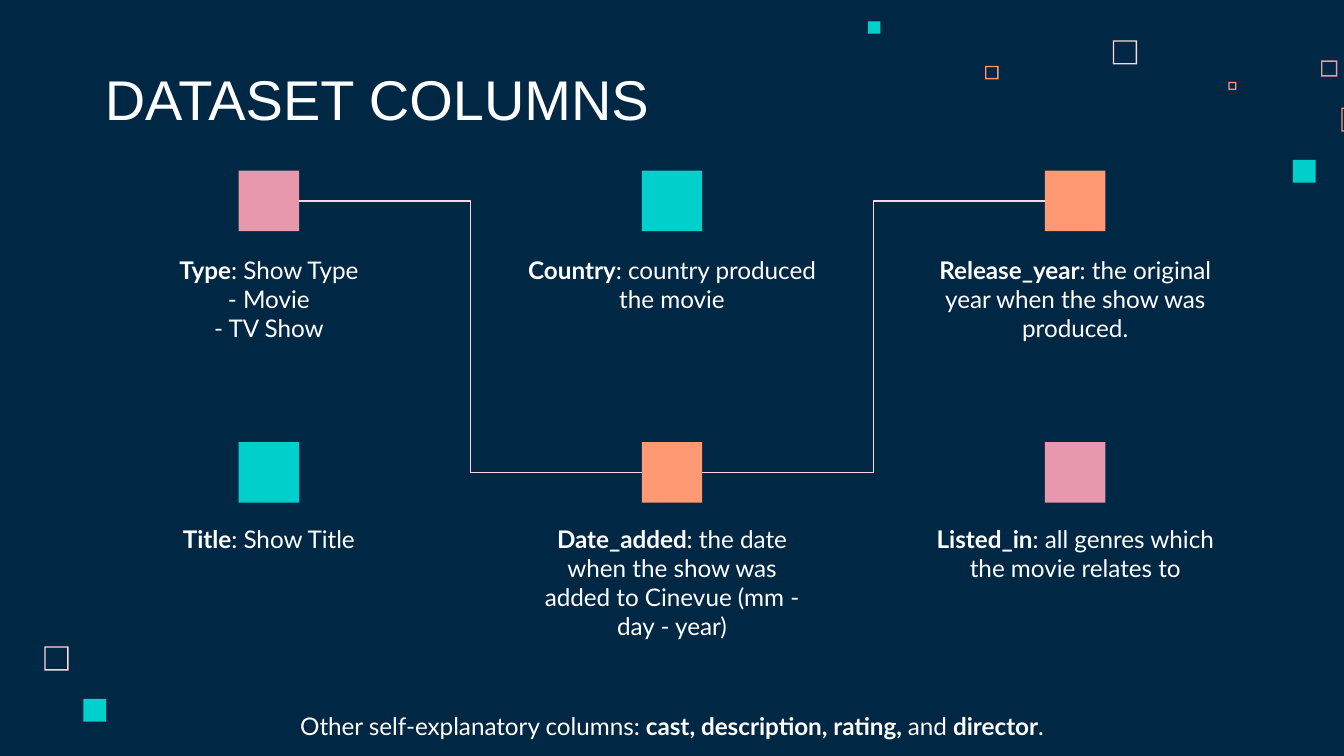
"""Build the dataset columns slide."""
from dataclasses import dataclass

from lxml import etree
from pptx import Presentation
from pptx.dml.color import RGBColor
from pptx.enum.shapes import MSO_CONNECTOR, MSO_SHAPE
from pptx.enum.text import MSO_ANCHOR, MSO_AUTO_SIZE, PP_ALIGN
from pptx.oxml.ns import qn
from pptx.util import Inches, Pt

RECT, FRAME = MSO_SHAPE.RECTANGLE, MSO_SHAPE.FRAME
ELBOW = MSO_CONNECTOR.ELBOW
LEFT, CENTER = PP_ALIGN.LEFT, PP_ALIGN.CENTER
TOP, BOTTOM = MSO_ANCHOR.TOP, MSO_ANCHOR.BOTTOM
NO_FIT = MSO_AUTO_SIZE.NONE

SLIDE_W = 10
SLIDE_H = SLIDE_W * 9 / 16
NAVY, WHITE, BLUSH = "002845", "FFFFFF", "FFD6E1"
PINK, TEAL, ORANGE = "E898AC", "00CFCC", "FF9973"
MARKER = 0.45
FRAME_WIDTH = 0.01
COL_X, COL_STEP = 2.0, 3.0
MARKER_Y, TEXT_Y = (1.27, 3.29), (1.8, 3.8)
LEFT_SITE, RIGHT_SITE = 1, 3


@dataclass
class Square:
    x: float
    y: float
    size: float
    color: str
    hollow: bool = False


@dataclass
class Column:
    col: int
    row: int
    color: str
    name: str
    detail: str
    width: float = 2.41
    options: tuple[str, ...] = ()


DECORATIONS = [
    Square(8.28, 0.3, 0.18, BLUSH, True),
    Square(9.83, 0.45, 0.12, PINK, True),
    Square(9.14, 0.61, 0.06, ORANGE, True),
    Square(9.98, 0.8, 0.18, ORANGE, True),
    Square(9.62, 1.19, 0.17, TEAL),
    Square(7.33, 0.49, 0.1, ORANGE, True),
    Square(6.46, 0.16, 0.09, TEAL),
    Square(0.33, 4.81, 0.18, BLUSH, True),
    Square(0.62, 5.2, 0.17, TEAL),
]
COLUMNS = [
    Column(0, 0, PINK, "Type", ": Show Type", options=("- Movie", "- TV Show")),
    Column(1, 0, TEAL, "Country", ": country produced the movie"),
    Column(2, 0, ORANGE, "Release_year",
           ": the original year when the show was produced.", 2.48),
    Column(0, 1, TEAL, "Title", ": Show Title"),
    Column(1, 1, ORANGE, "Date_added",
           ": the date when the show was added to Cinevue (mm - day - year)", 2.26),
    Column(2, 1, PINK, "Listed_in", ": all genres which the movie relates to", 2.48),
]
LINKS = [((0, 0), (1, 1)), ((1, 1), (2, 0))]
OTHERS = [("Other self-explanatory columns: ", False),
          ("cast, description, rating, ", True), ("and ", False),
          ("director", True), (".", False)]


def rgb(color: str) -> RGBColor:
    return RGBColor.from_string(color)


def set_attrs(obj, **values) -> None:
    for name, value in values.items():
        setattr(obj, name, value)


def fill_text(sp, paragraphs: list, font: str = "Lato", size: float = 13,
              align=CENTER, anchor=TOP) -> None:
    tf = sp.text_frame
    inset = Inches(0.1)
    set_attrs(tf, word_wrap=True, auto_size=NO_FIT, vertical_anchor=anchor,
              margin_left=inset, margin_right=inset,
              margin_top=inset, margin_bottom=inset)
    for i, runs in enumerate(paragraphs):
        p = tf.add_paragraph() if i else tf.paragraphs[0]
        p.alignment = align
        for text, bold in runs:
            r = p.add_run()
            r.text = text
            set_attrs(r.font, name=font, size=Pt(size), bold=bold)
            r.font.color.rgb = rgb(WHITE)


def add_square(s, sq: Square):
    size = Inches(sq.size)
    sp = s.shapes.add_shape(FRAME if sq.hollow else RECT,
                            Inches(sq.x), Inches(sq.y), size, size)
    if sq.hollow:
        sp.adjustments[0] = FRAME_WIDTH / sq.size
    sp.shadow.inherit = False
    sp.fill.solid()
    sp.fill.fore_color.rgb = rgb(sq.color)
    sp.line.fill.background()
    return sp


def add_text(s, x: float, y: float, w: float, h: float, paragraphs: list) -> None:
    sp = s.shapes.add_textbox(Inches(x), Inches(y), Inches(w), Inches(h))
    fill_text(sp, paragraphs)


def add_column(s, column: Column):
    center = COL_X + column.col * COL_STEP
    paragraphs = [[(column.name, True), (column.detail, False)]]
    paragraphs += [[(option, False)] for option in column.options]
    add_text(s, center - column.width / 2, TEXT_Y[column.row],
             column.width, 0.9, paragraphs)
    return add_square(s, Square(center - MARKER / 2, MARKER_Y[column.row],
                                MARKER, column.color))


def add_link(s, start, end) -> None:
    link = s.shapes.add_connector(ELBOW, 0, 0, 0, 0)
    link.begin_connect(start, RIGHT_SITE)
    link.end_connect(end, LEFT_SITE)
    link.line.width = Pt(0.75)
    link.line.color.rgb = rgb(BLUSH)
    etree.SubElement(link._element.spPr, qn("a:effectLst"))


def main() -> None:
    prs = Presentation()
    set_attrs(prs, slide_width=Inches(SLIDE_W), slide_height=Inches(SLIDE_H))
    s = prs.slides.add_slide(prs.slide_layouts[5])
    s.background.fill.solid()
    s.background.fill.fore_color.rgb = rgb(NAVY)

    for square in DECORATIONS:
        add_square(s, square)

    title = s.shapes.title
    set_attrs(title, left=Inches(0.68), top=Inches(0.45),
              width=Inches(5.17), height=Inches(0.63))
    fill_text(title, [[("DATASET COLUMNS", False)]], "Arial", 30, LEFT, BOTTOM)

    markers = {(c.col, c.row): add_column(s, c) for c in COLUMNS}
    for start, end in LINKS:
        add_link(s, markers[start], markers[end])
    add_text(s, 0.5, 5.19, 9, 0.38, [OTHERS])

    prs.save("out.pptx")


if __name__ == "__main__":
    main()
